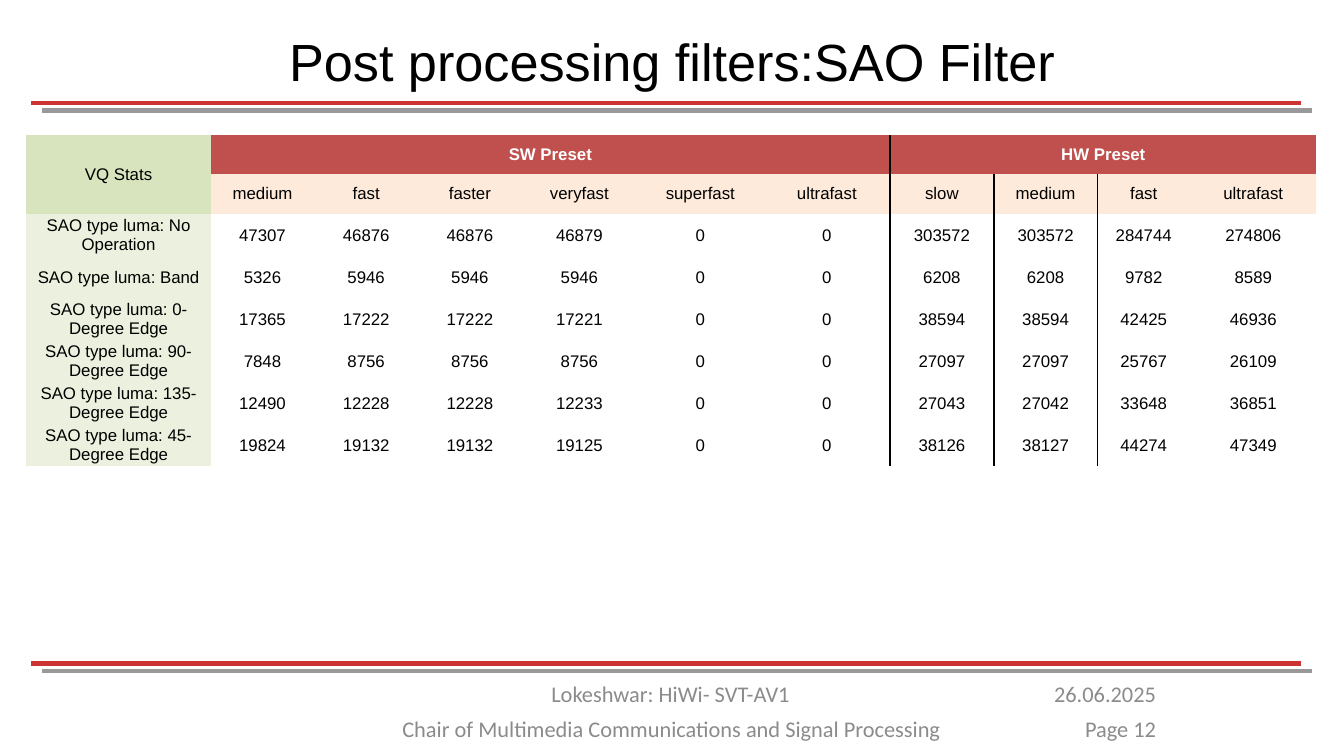
"""Build the slide that compares SAO filter statistics per encoder preset."""
from lxml import etree
from pptx import Presentation
from pptx import util as u
from pptx.dml.color import RGBColor
from pptx.enum import shapes, text
from pptx.oxml import ns

BLACK = RGBColor(0x00, 0x00, 0x00)
WHITE = RGBColor(0xFF, 0xFF, 0xFF)
RED = RGBColor(0xCC, 0x33, 0x33)
GREY = RGBColor(0x99, 0x99, 0x99)
FOOTER = RGBColor(0x8B, 0x8B, 0x8B)
GREEN = RGBColor(0xD7, 0xE4, 0xBD)
PALE_GREEN = RGBColor(0xEB, 0xF1, 0xDE)
BRICK = RGBColor(0xC0, 0x50, 0x4D)
PEACH = RGBColor(0xFD, 0xEA, 0xDA)
NO_STYLE = "{2D5ABB26-0587-4C30-8999-92F81FD0307C}"
CENTER, RIGHT = text.PP_ALIGN.CENTER, text.PP_ALIGN.RIGHT

WIDTHS = [3.48, 1.96, 1.96, 1.96, 2.18, 2.39, 2.39, 1.96, 1.96, 1.75, 2.39]
HEIGHTS = [0.72] * 2 + [0.79] * 6
PRESETS = ["medium", "fast", "faster", "veryfast", "superfast", "ultrafast",
           "slow", "medium", "fast", "ultrafast"]
STATS = {
    "No Operation": [47307, 46876, 46876, 46879, 0, 0, 303572, 303572, 284744, 274806],
    "Band": [5326, 5946, 5946, 5946, 0, 0, 6208, 6208, 9782, 8589],
    "0-Degree Edge": [17365, 17222, 17222, 17221, 0, 0, 38594, 38594, 42425, 46936],
    "90-Degree Edge": [7848, 8756, 8756, 8756, 0, 0, 27097, 27097, 25767, 26109],
    "135-Degree Edge": [12490, 12228, 12228, 12233, 0, 0, 27043, 27042, 33648, 36851],
    "45-Degree Edge": [19824, 19132, 19132, 19125, 0, 0, 38126, 38127, 44274, 47349],
}


def write(tf, words, *, size=9, font="Arial", color=BLACK, bold=False, align=CENTER):
    p = tf.paragraphs[0]
    p.alignment = align
    r = p.add_run()
    r.text = words
    r.font.size, r.font.name, r.font.bold = u.Pt(size), font, bold
    r.font.color.rgb = color


class Deck:
    def __init__(self):
        self.prs = Presentation()
        self.prs.slide_width, self.prs.slide_height = u.Cm(25.4), u.Cm(14.29)
        self.s = self.prs.slides.add_slide(self.prs.slide_layouts[5])

    def title(self, words, x, y, w, h):
        sp = self.s.shapes.title
        sp.left, sp.top, sp.width, sp.height = map(u.Cm, (x, y, w, h))
        tf = sp.text_frame
        tf.auto_size = text.MSO_AUTO_SIZE.NONE
        tf.vertical_anchor = text.MSO_ANCHOR.MIDDLE
        write(tf, words, size=28)

    def rule(self, x, y, color, length=24):
        sp = self.s.shapes.add_connector(
            shapes.MSO_CONNECTOR.STRAIGHT, u.Cm(x), u.Cm(y), u.Cm(x + length), u.Cm(y))
        sp.line.color.rgb, sp.line.width = color, u.Pt(2.25)
        etree.SubElement(sp._element.spPr, ns.qn("a:effectLst"))

    def label(self, words, x, y, w, align):
        sp = self.s.shapes.add_textbox(*map(u.Cm, (x, y, w, 0.77)))
        tf = sp.text_frame
        tf.word_wrap = True
        tf.auto_size = text.MSO_AUTO_SIZE.SHAPE_TO_FIT_TEXT
        write(tf, words, size=12, font="Calibri", color=FOOTER, align=align)

    def cell(self, cell, words, fill=None, margins=(0.03, 0.03, 0.03, 0), **fmt):
        (cell.margin_left, cell.margin_top,
         cell.margin_right, cell.margin_bottom) = map(u.Cm, margins)
        cell.vertical_anchor = text.MSO_ANCHOR.MIDDLE
        if fill is None:
            cell.fill.background()
        else:
            cell.fill.solid()
            cell.fill.fore_color.rgb = fill
        write(cell.text_frame, words, **fmt)

    def border(self, cell, side):
        ln = etree.Element(ns.qn(f"a:ln{side}"), w=str(u.Pt(1)))
        fill = etree.SubElement(ln, ns.qn("a:solidFill"))
        etree.SubElement(fill, ns.qn("a:srgbClr"), val=str(BLACK))
        cell._tc.get_or_add_tcPr().insert(0, ln)

    def table(self, x, y):
        t = self.s.shapes.add_table(
            len(HEIGHTS), len(WIDTHS), u.Cm(x), u.Cm(y),
            u.Cm(sum(WIDTHS)), u.Cm(sum(HEIGHTS))).table
        t.first_row = t.horz_banding = False
        t._tbl.tblPr[0].text = NO_STYLE
        for col, w in zip(t.columns, WIDTHS):
            col.width = u.Cm(w)
        for row, h in zip(t.rows, HEIGHTS):
            row.height = u.Cm(h)

        head = dict(margins=[0.18] * 4)
        t.cell(0, 0).merge(t.cell(1, 0))
        self.cell(t.cell(0, 0), "VQ Stats", GREEN, **head)
        for words, first, last in [("SW Preset", 1, 6), ("HW Preset", 7, 10)]:
            t.cell(0, first).merge(t.cell(0, last))
            self.cell(t.cell(0, first), words, BRICK, color=WHITE, bold=True, **head)
        for j, preset in enumerate(PRESETS, 1):
            self.cell(t.cell(1, j), preset, PEACH, **head)
        for i, (kind, values) in enumerate(STATS.items(), 2):
            self.cell(t.cell(i, 0), f"SAO type luma: {kind}", PALE_GREEN)
            for j, value in enumerate(values, 1):
                self.cell(t.cell(i, j), str(value))

        self.border(t.cell(0, 1), "R")
        self.border(t.cell(0, 7), "L")
        for i in range(1, len(HEIGHTS)):
            for j in (6, 7):
                self.border(t.cell(i, j), "R")
                self.border(t.cell(i, j + 1), "L")


def main():
    deck = Deck()
    deck.title("Post processing filters:SAO Filter", 1.27, 0.36, 22.86, 1.57)
    for y in (1.94, 12.54):
        deck.rule(0.59, y, RED)
        deck.rule(0.8, y + 0.15, GREY)
    deck.label("Lokeshwar: HiWi- SVT-AV1", 6.58, 12.73, 12.19, CENTER)
    deck.label("Chair of Multimedia Communications and Signal Processing",
               6.6, 13.39, 12.19, CENTER)
    deck.label("26.06.2025", 19.1, 12.73, 3, RIGHT)
    deck.label("Page 12", 19.1, 13.39, 3, RIGHT)
    deck.table(0.5, 2.55)
    deck.prs.save("out.pptx")


if __name__ == "__main__":
    main()
